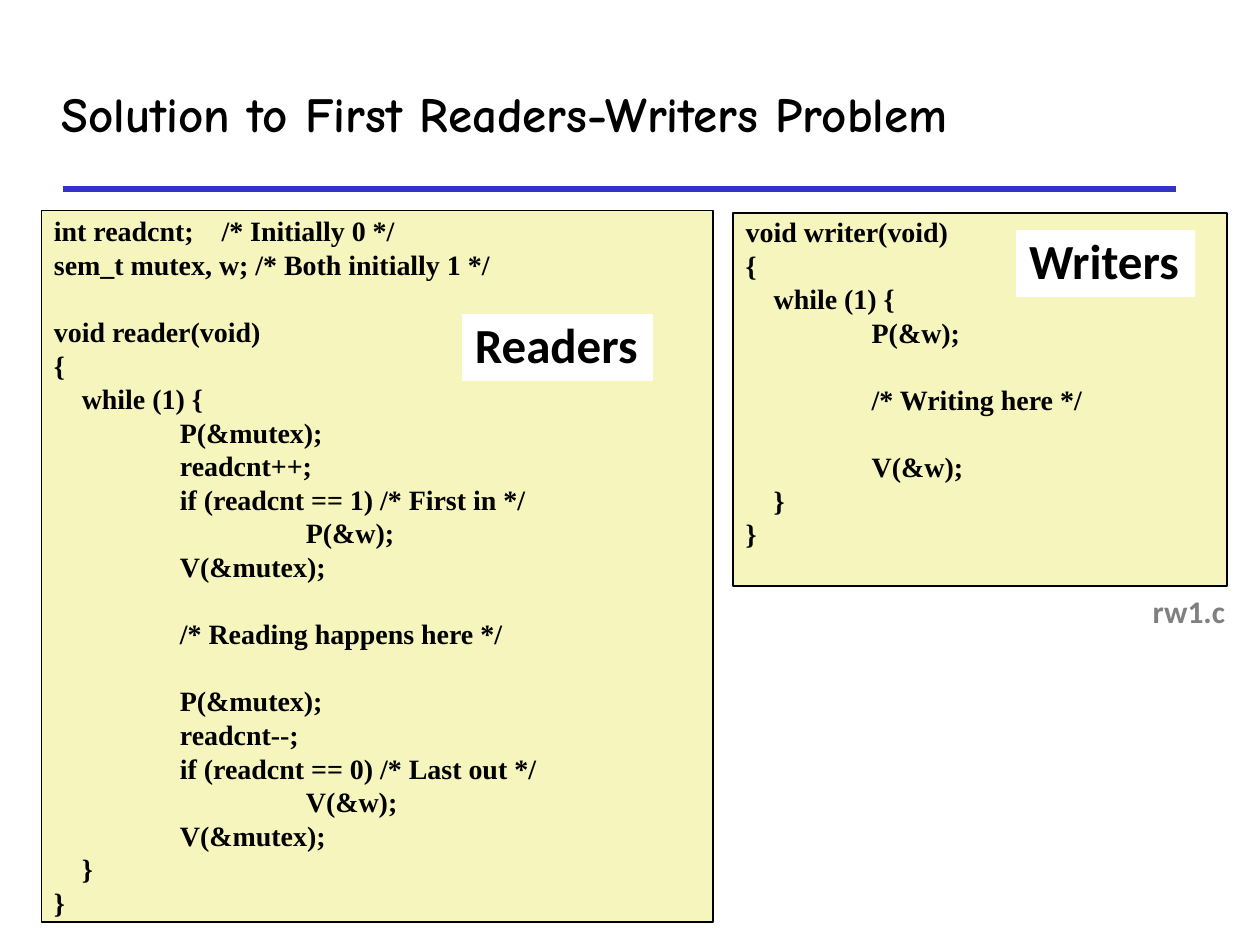
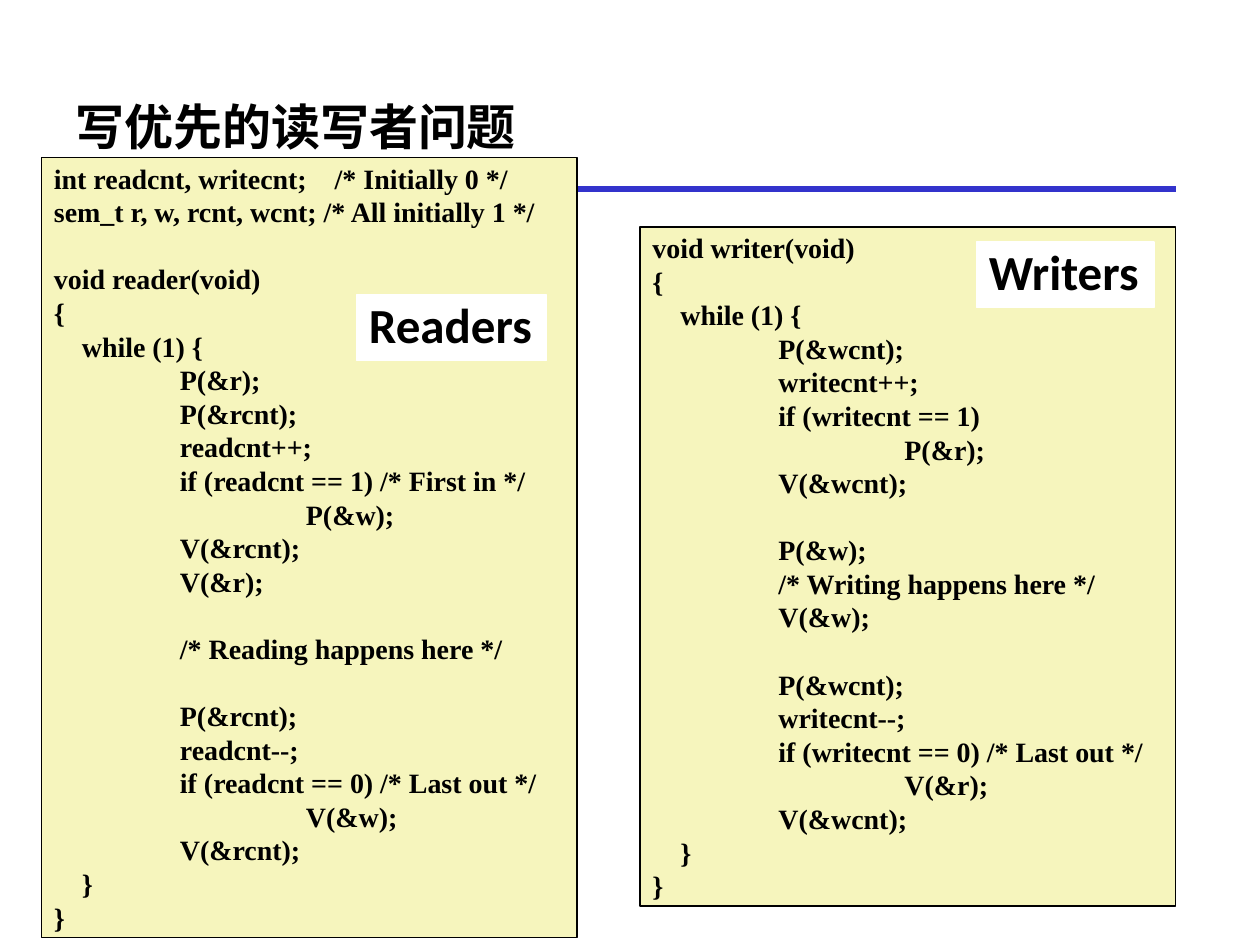
"""Build two slides on the readers-writers problem."""
from lxml.etree import SubElement
from pptx import Presentation
from pptx.dml.color import RGBColor
from pptx.enum.shapes import MSO_CONNECTOR, MSO_SHAPE
from pptx.enum.text import MSO_ANCHOR, MSO_AUTO_SIZE, PP_ALIGN
from pptx.oxml.ns import qn
from pptx.text.text import Font
from pptx.util import Inches, Pt

BLACK = RGBColor(0x00, 0x00, 0x00)
WHITE = RGBColor(0xFF, 0xFF, 0xFF)
GREY = RGBColor(0x80, 0x80, 0x80)
BLUE = RGBColor(0x33, 0x33, 0xCC)
CREAM = RGBColor(0xF6, 0xF5, 0xBD)

READ_ONE = """int readcnt;    /* Initially 0 */
sem_t mutex, w; /* Both initially 1 */

void reader(void)
{
    while (1) {
    \tP(&mutex);
    \treadcnt++;
    \tif (readcnt == 1) /* First in */
      \t\tP(&w);
    \tV(&mutex);

    \t/* Reading happens here */

    \tP(&mutex);
    \treadcnt--;
    \tif (readcnt == 0) /* Last out */
      \t\tV(&w);
    \tV(&mutex);
    }
}"""

WRITE_ONE = """void writer(void)
{
    while (1) {
    \tP(&w);

\t/* Writing here */

    \tV(&w);
    }
}
"""

READ_TWO = """int readcnt, writecnt;    /* Initially 0 */
sem_t r, w, rcnt, wcnt; /* All initially 1 */

void reader(void)
{
    while (1) {
    \tP(&r);
\tP(&rcnt);
    \treadcnt++;
    \tif (readcnt == 1) /* First in */
      \t\tP(&w);
    \tV(&rcnt);
\tV(&r);

    \t/* Reading happens here */

    \tP(&rcnt);
    \treadcnt--;
    \tif (readcnt == 0) /* Last out */
      \t\tV(&w);
    \tV(&rcnt);
    }
}"""

WRITE_TWO = """void writer(void)
{
    while (1) {
    \tP(&wcnt);
\twritecnt++;
    \tif (writecnt == 1)
      \t\tP(&r);
    \tV(&wcnt);

\tP(&w);
    \t/* Writing happens here */
\tV(&w);

    \tP(&wcnt);
    \twritecnt--;
    \tif (writecnt == 0) /* Last out */
      \t\tV(&r);
    \tV(&wcnt);
    }
}"""

SLIDES = [
    {
        "title": ("Solution to First Readers-Writers Problem", (0.39, 0.48, 9.36, 0.83)),
        "code": [(READ_ONE, (0.33, 1.67, 5.33, 5.65)), (WRITE_ONE, (5.82, 1.69, 3.92, 2.96))],
        "file": [("rw1.c", (9.05, 4.68, 0.78, 0.4))],
        "tags": [("Readers", (3.67, 2.5, 1.51, 0.52)), ("Writers", (8.07, 1.83, 1.41, 0.52))],
    },
    {
        "title": ("写优先的读写者问题", (0.5, 0.5, 8.83, 1)),
        "code": [(READ_TWO, (0.33, 1.25, 4.25, 6.19)), (WRITE_TWO, (5.08, 1.8, 4.25, 5.39))],
        "file": [],
        "tags": [("Readers", (2.83, 2.34, 1.51, 0.52)), ("Writers", (7.75, 1.92, 1.41, 0.52))],
    },
]


def write(shape, text, font="Calibri", size=28, color=BLACK, space=1.0,
          anchor=MSO_ANCHOR.TOP, wrap=True, pad=0.05, fit=MSO_AUTO_SIZE.SHAPE_TO_FIT_TEXT):
    """Fill a shape with bold left-aligned lines of text."""
    frame = shape.text_frame
    frame.word_wrap, frame.auto_size, frame.vertical_anchor = wrap, fit, anchor
    frame.margin_left = frame.margin_right = Inches(0.1)
    frame.margin_top = frame.margin_bottom = Inches(pad)
    for i, line in enumerate(text.split("\n")):
        para = frame.add_paragraph() if i else frame.paragraphs[0]
        para._p.get_or_add_pPr().set("defTabSz", str(Inches(1)))
        if "\t" in line:
            add_tabs(para, line.count("\t"))
        para.alignment, para.line_spacing = PP_ALIGN.LEFT, space
        para.space_before = para.space_after = Pt(0)
        if line:
            run = para.add_run()
            run.text = line
            face = run.font
        else:
            face = Font(para._p.get_or_add_endParaRPr())
        face.name, face.size, face.bold = font, Pt(size), True
        face.color.rgb = color


def add_tabs(para, count):
    """Add a left tab stop at each inch."""
    tabs = SubElement(para._p.get_or_add_pPr(), qn("a:tabLst"))
    for stop in range(1, count + 1):
        SubElement(tabs, qn("a:tab"), pos=str(Inches(stop)), algn="l")


def add_box(slide, place, fill, edge, width):
    """Add a plain rectangle."""
    box = slide.shapes.add_shape(MSO_SHAPE.RECTANGLE, *map(Inches, place))
    box.shadow.inherit = False
    box.fill.solid()
    box.fill.fore_color.rgb = fill
    box.line.color.rgb = edge
    box.line.width = Pt(width)
    return box


def add_rule(slide):
    """Add the blue line under the title."""
    rule = slide.shapes.add_connector(
        MSO_CONNECTOR.STRAIGHT, *map(Inches, (0.5, 1.5, 9.33, 1.5)))
    rule.line.color.rgb = BLUE
    rule.line.width = Pt(3)
    SubElement(rule._element.spPr, qn("a:effectLst"))


def add_title(slide, text, place):
    """Place and fill the title."""
    title = slide.shapes.title
    title.left, title.top, title.width, title.height = map(Inches, place)
    write(title, text, font="Comic Neue", anchor=MSO_ANCHOR.MIDDLE, fit=MSO_AUTO_SIZE.NONE)


def main():
    """Build and save the deck."""
    deck = Presentation()
    deck.slide_width, deck.slide_height = Inches(10), Inches(7.5)
    for part in SLIDES:
        slide = deck.slides.add_slide(deck.slide_layouts[5])
        add_rule(slide)
        add_title(slide, *part["title"])
        for text, place in part["code"]:
            write(add_box(slide, place, CREAM, BLACK, 1), text, font="Times New Roman",
                  size=16, anchor=MSO_ANCHOR.MIDDLE, pad=0)
        for text, place in part["file"]:
            write(slide.shapes.add_textbox(*map(Inches, place)), text, size=18,
                  color=GREY, space=0.9, wrap=False)
        for text, place in part["tags"]:
            write(add_box(slide, place, WHITE, WHITE, 0.75), text, space=0.9, wrap=False)
    deck.save("out.pptx")


if __name__ == "__main__":
    main()
